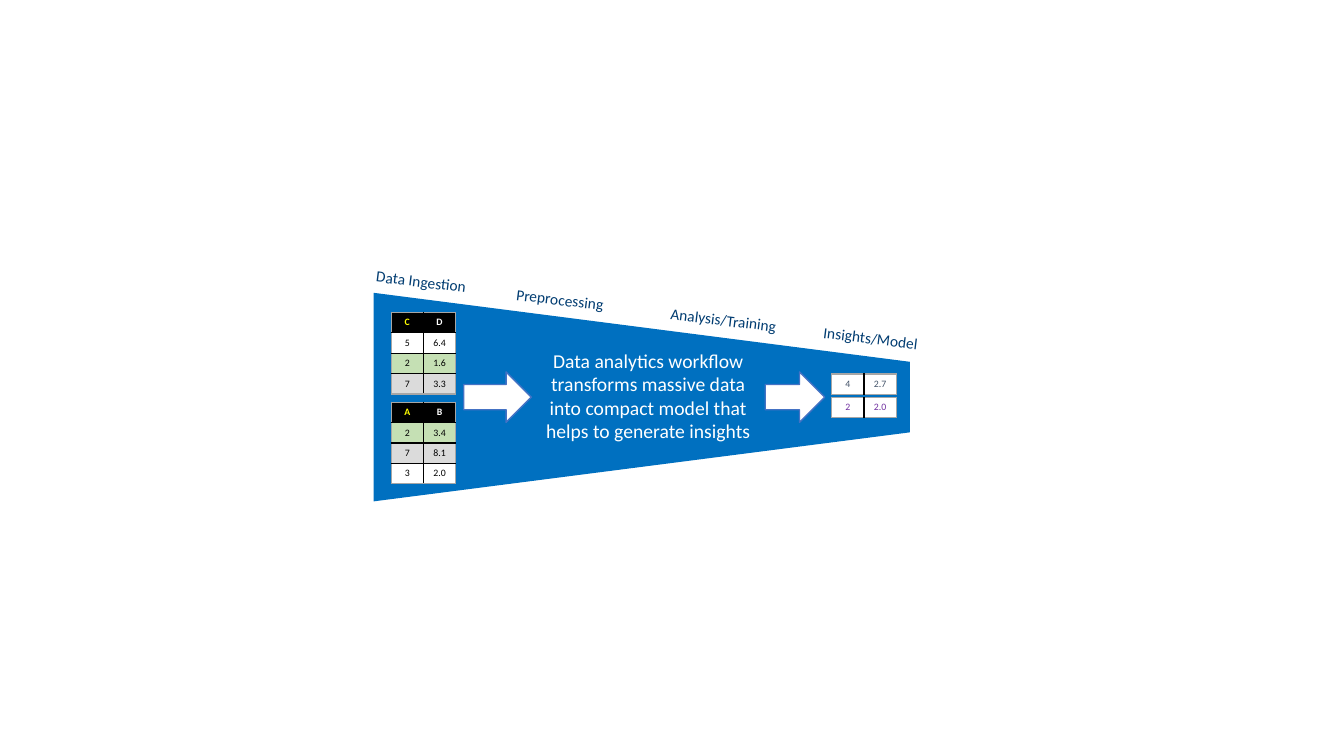
from typing import NamedTuple

from lxml import etree
from pptx import Presentation
from pptx import util as u
from pptx.dml.color import RGBColor
from pptx.enum import shapes, text
from pptx.oxml import ns

BLUE, NAVY, WHITE, BLACK = "0070C0", "003C71", "FFFFFF", "000000"
GREEN, GREY, YELLOW, EDGE = "C5E0B4", "DBDBDB", "FFFF00", "A6A6A6"
SLATE, PURPLE, ARROW_EDGE = "44546A", "7030A0", "4472C4"

deck = Presentation()
deck.slide_width, deck.slide_height = u.Inches(13.33), u.Inches(7.5)
slide = deck.slides.add_slide(deck.slide_layouts[6])

# Grid of 160 columns by 90 rows
COL, ROW = deck.slide_width / 160, deck.slide_height / 90
CELL_COLS, CELL_ROWS = 3.84, 2.43


class Box(NamedTuple):
    col: float
    row: float
    cols: float
    rows: float

    def emu(self) -> tuple:
        return (round(self.col * COL), round(self.row * ROW),
                round(self.cols * COL), round(self.rows * ROW))


class Record(NamedTuple):
    values: tuple
    fill: str = WHITE
    colors: tuple = (BLACK, BLACK)
    bold: bool = False


class DataTable(NamedTuple):
    col: float
    row: float
    records: list


class Stage(NamedTuple):
    name: str
    box: Box
    align: text.PP_ALIGN = text.PP_ALIGN.CENTER


def color(hex_color: str) -> RGBColor:
    return RGBColor.from_string(hex_color)


def write(frame, words: str, *, size: float, ink: str, bold: bool = False,
          align=text.PP_ALIGN.CENTER) -> None:
    paragraph = frame.paragraphs[0]
    paragraph.alignment = align
    run = paragraph.add_run()
    run.text = words
    font = run.font
    font.name, font.size, font.bold = "Calibri", u.Pt(size), bold
    font.color.rgb = color(ink)


def add_label(words: str, box: Box, *, turn: float = 0, **style) -> None:
    label = slide.shapes.add_textbox(*box.emu())
    label.rotation = turn
    frame = label.text_frame
    frame.margin_left = frame.margin_right = frame.margin_top = frame.margin_bottom = 0
    frame.word_wrap = True
    frame.auto_size = text.MSO_AUTO_SIZE.SHAPE_TO_FIT_TEXT
    write(frame, words, **style)


def add_preset(kind, box: Box, fill: str, line: str = ""):
    preset = slide.shapes.add_shape(kind, *box.emu())
    preset.shadow.inherit = False
    preset.fill.solid()
    preset.fill.fore_color.rgb = color(fill)
    if line:
        preset.line.color.rgb = color(line)
        preset.line.width = u.Pt(1)
    else:
        preset.line.fill.background()
    return preset


def set_borders(cell, outer: dict) -> None:
    """Black inner lines, grey ones on the sides flagged as outer."""
    properties = cell._tc.get_or_add_tcPr()
    for index, side in enumerate(("L", "R", "T", "B")):
        line = etree.Element(ns.qn(f"a:ln{side}"), w=str(u.Pt(1)))
        fill = etree.SubElement(line, ns.qn("a:solidFill"))
        etree.SubElement(fill, ns.qn("a:srgbClr"), val=EDGE if outer[side] else BLACK)
        properties.insert(index, line)


def add_data(data: DataTable) -> None:
    height, width = len(data.records), len(data.records[0].values)
    box = Box(data.col, data.row, width * CELL_COLS, height * CELL_ROWS)
    table = slide.shapes.add_table(height, width, *box.emu()).table
    for r, record in enumerate(data.records):
        for c, (value, ink) in enumerate(zip(record.values, record.colors)):
            cell = table.cell(r, c)
            cell.margin_left = cell.margin_right = cell.margin_top = cell.margin_bottom = 0
            cell.vertical_anchor = text.MSO_ANCHOR.MIDDLE
            cell.fill.solid()
            cell.fill.fore_color.rgb = color(record.fill)
            write(cell.text_frame, value, size=7, ink=ink, bold=record.bold)
            set_borders(cell, {"L": c == 0, "R": c == width - 1,
                               "T": r == 0, "B": r == height - 1})


def header(*names: str) -> Record:
    return Record(names, BLACK, (YELLOW, WHITE), True)


# Funnel
funnel = add_preset(shapes.MSO_SHAPE.TRAPEZOID, Box(63.98, 15.36, 24.84, 63.84), BLUE)
funnel.rotation = 90
funnel.adjustments[0] = 0.331

# Input tables on the left, resulting model on the right
INPUT_COL, MODEL_COL = 46.57, 99.02
for data in (
    DataTable(INPUT_COL, 47.88, [header("A", "B"), Record(("2", "3.4"), GREEN),
                                 Record(("7", "8.1"), GREY), Record(("3", "2.0"))]),
    DataTable(INPUT_COL, 37.2, [header("C", "D"), Record(("5", "6.4")),
                                Record(("2", "1.6"), GREEN), Record(("7", "3.3"), GREY)]),
    DataTable(MODEL_COL, 44.52, [Record(("4", "2.7"), colors=(SLATE, SLATE))]),
    DataTable(MODEL_COL, 47.28, [Record(("2", "2.0"), colors=(PURPLE, PURPLE))]),
):
    add_data(data)

# Stage names along the sloping edge
LEFT = text.PP_ALIGN.LEFT
for stage in (
    Stage("Data Ingestion", Box(44.77, 32.52, 12.84, 2.28), LEFT),
    Stage("Insights/Model", Box(97.22, 39.12, 12.84, 2.28)),
    Stage("Preprocessing", Box(61.45, 34.68, 12.84, 2.28), LEFT),
    Stage("Analysis/Training", Box(72.74, 36.96, 26.77, 2.28)),
):
    add_label(stage.name, stage.box, turn=7, size=11, ink=NAVY, align=stage.align)

# Central message and flow arrows
add_label("Data analytics workflow transforms massive data into compact model "
          "that helps to generate insights",
          Box(63.73, 41.52, 26.89, 11.28), size=14, ink=WHITE)
for flow in (Box(55.21, 44.28, 8.04, 6), Box(91.1, 44.28, 7.08, 6)):
    add_preset(shapes.MSO_SHAPE.RIGHT_ARROW, flow, WHITE, ARROW_EDGE)

deck.save("out.pptx")
